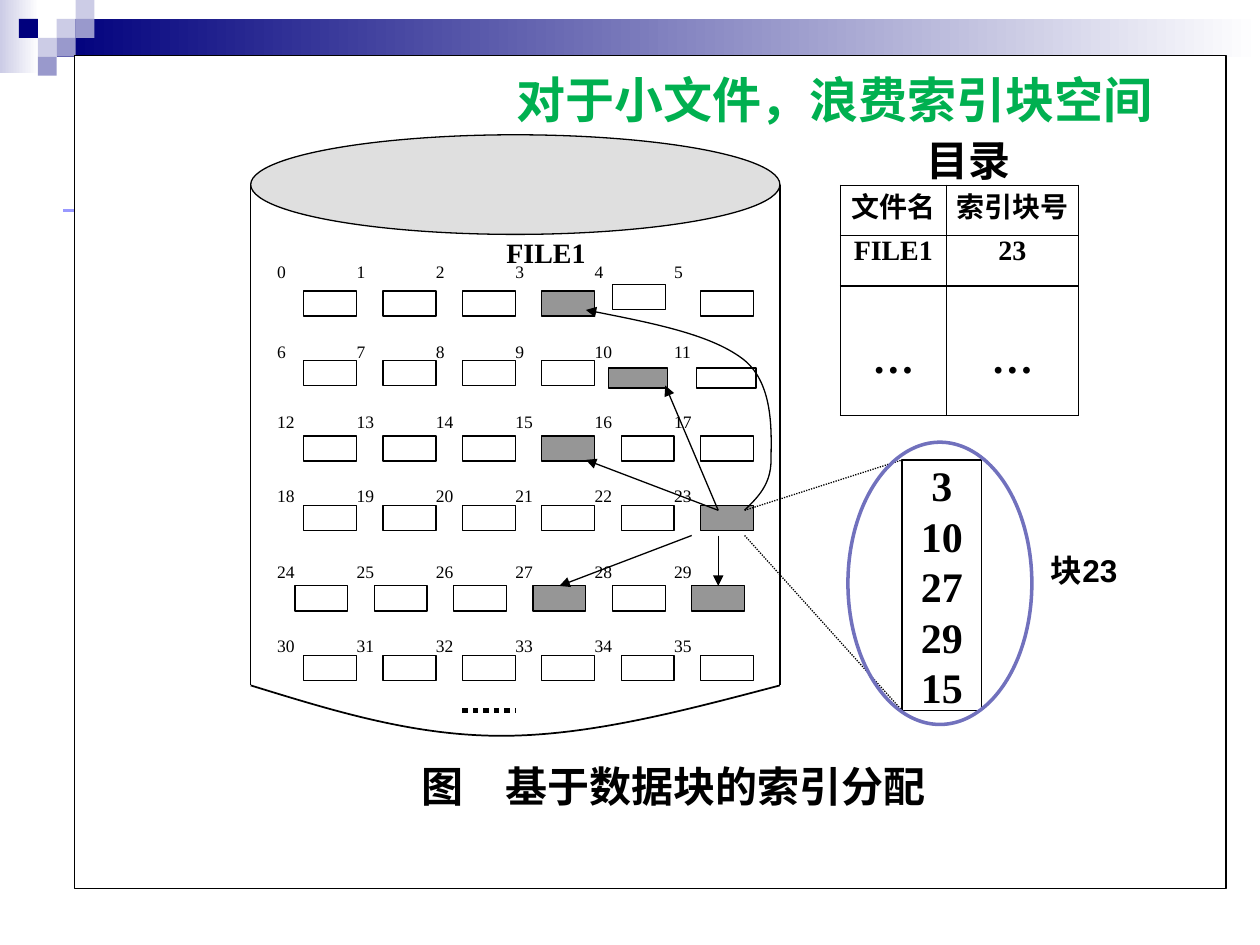
from lxml import etree
from pptx import Presentation
from pptx.dml.color import RGBColor
from pptx.enum.dml import MSO_LINE
from pptx.enum.shapes import MSO_CONNECTOR, MSO_SHAPE
from pptx.enum.text import MSO_ANCHOR, PP_ALIGN
from pptx.oxml.ns import qn
from pptx.util import Inches, Pt

RECT, OVAL = MSO_SHAPE.RECTANGLE, MSO_SHAPE.OVAL
STRAIGHT = MSO_CONNECTOR.STRAIGHT
LEFT, CENTER, JUSTIFY = PP_ALIGN.LEFT, PP_ALIGN.CENTER, PP_ALIGN.JUSTIFY
TOP, MIDDLE = MSO_ANCHOR.TOP, MSO_ANCHOR.MIDDLE
DOTTED = MSO_LINE.ROUND_DOT
SERIF, SANS = "Times New Roman", "Arial"
COLORS = {"navy": "00007D", "pale": "CCCCE6", "lilac": "9999CC", "rule": "9999FF",
          "white": "FFFFFF", "black": "000000", "lid": "C0C0C0", "used": "969696",
          "green": "00B050", "ring": "7171BD"}
COLUMNS, PITCH = 6, 0.63
BLOCK_SIZE = (0.42, 0.2)
USED_BLOCKS = {3, 10, 15, 23, 27, 29}
LABEL_TOPS = (1.0, 1.64, 2.19, 2.78, 3.38, 3.97)
BLOCK_ROWS = ((0.42, 1.24), (0.42, 1.79), (0.42, 2.39), (0.42, 2.94), (0.35, 3.58), (0.42, 4.13))
MOVED_BLOCKS = {4: (2.87, 1.19, 0.42, 0.2), 10: (2.84, 1.85, 0.47, 0.16),
                11: (3.54, 1.85, 0.47, 0.16)}


def color(name):
    """Return the named colour."""
    return RGBColor.from_string(COLORS[name])


def paint(shape, fill=None, line=None, width=0.75):
    """Set the fill and outline of a shape, leaving out what is not named."""
    shape.shadow.inherit = False
    if fill:
        shape.fill.solid()
        shape.fill.fore_color.rgb = color(fill)
    else:
        shape.fill.background()
    if line:
        shape.line.color.rgb = color(line)
        shape.line.width = Pt(width)
    else:
        shape.line.fill.background()


def add_box(page, box, fill=None, line=None, width=0.75, kind=RECT):
    """Add a painted preset shape in a box of inches."""
    shape = page.shapes.add_shape(kind, *map(Inches, box))
    paint(shape, fill, line, width)
    return shape


def write(frame, text, size, align=CENTER, bold=True, font=SERIF, ink="black"):
    """Fill a text frame with evenly styled paragraphs."""
    frame.text = text
    for para in frame.paragraphs:
        para.alignment = align
        for span in para.runs:
            span.font.name, span.font.size, span.font.bold = font, Pt(size), bold
            span.font.color.rgb = color(ink)


def clear_insets(target):
    """Remove the inner margins of a text frame or cell."""
    target.margin_left = target.margin_right = target.margin_top = target.margin_bottom = 0


def add_label(page, box, text, size, inset=False, wrap=True, anchor=TOP, **style):
    """Add a text box in a box of inches."""
    frame = page.shapes.add_textbox(*map(Inches, box)).text_frame
    frame.word_wrap = wrap
    frame.vertical_anchor = anchor
    if not inset:
        clear_insets(frame)
    write(frame, text, size, **style)


def add_arrowhead(shape):
    """Put a triangle at the end of a line."""
    etree.SubElement(shape.line._get_or_add_ln(), qn("a:tailEnd"), type="triangle")


def add_line(page, start, end, ink="black", width=0.75, dash=None, arrow=False):
    """Add a straight line between two points in inches."""
    line = page.shapes.add_connector(STRAIGHT, *map(Inches, start + end))
    line.line.color.rgb = color(ink)
    line.line.width = Pt(width)
    if dash:
        line.line.dash_style = dash
    if arrow:
        add_arrowhead(line)
    etree.SubElement(line._element.spPr, qn("a:effectLst"))
    return line


def add_curve(page, points, width=0.75):
    """Add a chain of cubic curves through start, control and end points."""
    places = [(Inches(x), Inches(y)) for x, y in points]
    builder = page.shapes.build_freeform(*places[0])
    builder.add_line_segments(places[1:], close=False)
    curve = builder.convert_to_shape()
    paint(curve, line="black", width=width)
    route = curve._element.find(".//" + qn("a:path"))
    steps = route.findall(qn("a:lnTo"))
    for first in range(0, len(steps), 3):
        bend = etree.SubElement(route, qn("a:cubicBezTo"))
        for step in steps[first:first + 3]:
            bend.append(step[0])
            route.remove(step)
    return curve


def draw_banner(page, left, top):
    """Draw the gradient bars, the corner mosaic and the side rule."""
    for box, start in (((0, 0, 0.31, 0.58), "pale"), ((0.45, 0.15, 9.55, 0.3), "navy")):
        bar = add_box(page, (left + box[0], top + box[1], *box[2:]), "white")
        bar.fill.gradient()
        bar.fill.gradient_angle = 0
        for stop, name in zip(bar.fill.gradient_stops, (start, "white")):
            stop.color.rgb = color(name)
    tiles = ((3, 1, "pale"), (4, 0, "pale"), (4, 1, "lilac"), (2, 2, "pale"),
             (1, 1, "navy"), (3, 2, "lilac"), (2, 3, "lilac"))
    for column, row, name in tiles:
        add_box(page, (left + 0.15 * column, top + 0.15 * row, 0.15, 0.15), name)
    add_line(page, (left + 0.5, top + 1.67), (left + 9.5, top + 1.67), "rule", 1.5)


def draw_disk(page, left, top, width, height):
    """Draw the cylinder with its lid, sides, base and continuation dots."""
    right, shoulder, base = left + width, top + 0.4, top + height - 0.4
    lid = add_box(page, (left, top, width, 0.79), "lid", "black", kind=OVAL)
    tint = lid._element.spPr.find(qn("a:solidFill"))[0]
    etree.SubElement(tint, qn("a:alpha"), val="50000")
    for side in (left, right):
        add_line(page, (side, shoulder), (side, base))
    add_curve(page, [(left, base), (left + 0.65, base + 0.2), (left + 1.29, base + 0.4),
                     (left + 1.99, base + 0.4), (left + 2.69, base + 0.4),
                     (left + 3.44, base + 0.2), (right, base)], 1)
    add_line(page, (left + 1.68, base + 0.2), (left + 2.1, base + 0.2), width=3, dash=DOTTED)
    add_label(page, (left + 2.03, top + 0.8, 0.84, 0.39), "FILE1", 16, align=JUSTIFY)


def draw_blocks(page, left, top):
    """Draw the numbered blocks and return them in order."""
    blocks = []
    for number in range(COLUMNS * len(BLOCK_ROWS)):
        row, column = divmod(number, COLUMNS)
        start, level = BLOCK_ROWS[row]
        x, y, *size = MOVED_BLOCKS.get(number, (start + PITCH * column, level, *BLOCK_SIZE))
        fill = "used" if number in USED_BLOCKS else None
        blocks.append(add_box(page, (left + x, top + y, *size), fill, "black"))
        add_label(page, (left + 0.21 + PITCH * column, top + LABEL_TOPS[row], 0.42, 0.39),
                  str(number), 10, align=JUSTIFY, bold=False)
    return blocks


def draw_pointers(page, left, top, blocks):
    """Draw the arrows from the index block to the data blocks."""
    hub = (left + 3.71, top + 2.98)
    for x, y in ((2.66, 2.58), (3.29, 1.99)):
        add_line(page, hub, (left + x, top + y), arrow=True)
    for x, number in ((3.5, 27), (3.71, 29)):
        arrow = add_line(page, (left + x, top + 3.18), (left + x, top + 3.58), arrow=True)
        arrow.end_connect(blocks[number], 0)
    route = ((3.92, 2.98), (4.02, 2.88), (4.13, 2.78), (4.13, 2.58),
             (4.13, 2.39), (4.16, 1.99), (3.92, 1.79), (3.67, 1.59), (3.17, 1.49), (2.66, 1.39))
    add_arrowhead(add_curve(page, [(left + x, top + y) for x, y in route]))


def draw_directory(page, left, top):
    """Draw the directory heading and table."""
    add_label(page, (left, top, 2.03, 0.4), "目录", 24)
    rows = (("文件名", "索引块号"), ("FILE1", "23"), ("…", "…"))
    widths, heights = (0.84, 1.05), (0.4, 0.4, 1.03)
    frame = page.shapes.add_table(3, 2, Inches(left), Inches(top + 0.4),
                                  Inches(sum(widths)), Inches(sum(heights)))
    table = frame.table
    table.first_row = table.horz_banding = False
    for column, width in zip(table.columns, widths):
        column.width = Inches(width)
    for index, (row, texts, height) in enumerate(zip(table.rows, rows, heights)):
        row.height = Inches(height)
        for cell, text in zip(row.cells, texts):
            clear_insets(cell)
            cell.margin_top = Inches(0.4 if index == 2 else 0)
            write(cell.text_frame, text, 24 if index == 2 else 16)
            properties = cell._tc.get_or_add_tcPr()
            for side in ("a:lnL", "a:lnR", "a:lnT", "a:lnB"):
                border = etree.SubElement(properties, qn(side), w=str(Pt(0.75)))
                ink = etree.SubElement(border, qn("a:solidFill"))
                etree.SubElement(ink, qn("a:srgbClr"), val=COLORS["black"])
            cell.fill.background()


def draw_index_block(page, left, top, source):
    """Draw the enlarged index block, its ring and its dotted guides."""
    x, y, height = left + 0.43, top + 0.14, 1.99
    listing = add_box(page, (x, y, 0.63, height), line="black")
    clear_insets(listing.text_frame)
    listing.text_frame.vertical_anchor = TOP
    write(listing.text_frame, "3\n10\n27\n29\n15", 24)
    for offset, end in ((0, y), (0.2, y + height)):
        add_line(page, (source[0], source[1] + offset), (x, end), dash=DOTTED)
    add_box(page, (left, top, 1.46, 2.24), line="ring", width=2, kind=OVAL)
    add_label(page, (left + 1.46, top + 0.59, 0.83, 0.84), "块23", 18, inset=True,
              anchor=MIDDLE, font=SANS)


def main():
    """Build the slide and save the deck."""
    deck = Presentation()
    deck.slide_width, deck.slide_height = Inches(10), Inches(7.5)
    page = deck.slides.add_slide(deck.slide_layouts[6])
    draw_banner(page, 0, 0)
    add_box(page, (0.59, 0.44, 9.14, 6.61), "white", "black")
    draw_disk(page, 1.99, 1.07, 4.2, 4.77)
    blocks = draw_blocks(page, 1.99, 1.07)
    draw_pointers(page, 1.99, 1.07, blocks)
    draw_directory(page, 6.67, 1.07)
    draw_index_block(page, 6.73, 3.51, (5.91, 4.05))
    add_label(page, (1.99, 5.99, 6.71, 0.64), "图　基于数据块的索引分配", 24, inset=True)
    add_label(page, (4, 0.5, 5.33, 0.57), "对于小文件，浪费索引块空间", 28, inset=True,
              wrap=False, align=LEFT, font=SANS, ink="green")
    deck.save("out.pptx")


if __name__ == "__main__":
    main()
